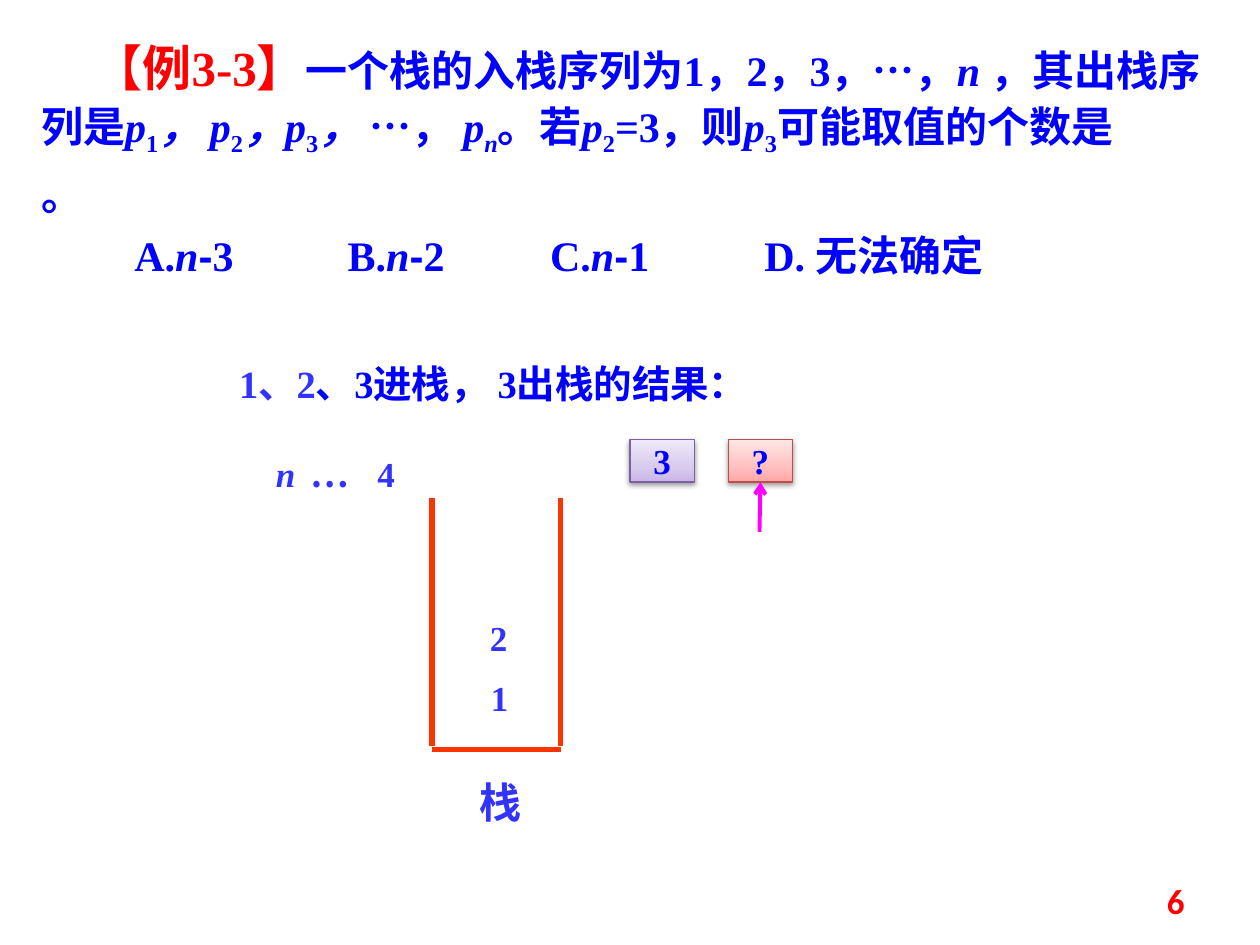
from pptx import Presentation
from pptx.dml.color import RGBColor
from pptx.enum.shapes import MSO_CONNECTOR, MSO_SHAPE
from pptx.enum.text import MSO_ANCHOR, PP_ALIGN
from pptx.oxml import parse_xml
from pptx.oxml.ns import nsdecls, qn
from pptx.util import Cm, Pt
from lxml.etree import SubElement

BLUE, INDIGO, RED = "0000FF", "3333FF", "FF0000"
ORANGE, MAGENTA = "FF3300", "FF00FF"
ITALIC = {"italic": True}
ELLIPSIS = {"name": "Noto Sans CJK SC"}
ARIAL = {"name": "Arial"}


def rgb(value):
    return RGBColor.from_string(value)


def variable(name, subscript, italic=False):
    return [(name, ITALIC), (subscript, {"baseline": -25000, "italic": italic})]


def option(label, number):
    return [(f"\t{label}.", {}), ("n", ITALIC), ("-", ARIAL), (number, {})]


class SlideBuilder:
    """Draws styled elements on the current slide."""

    base = {"name": "Times New Roman", "size": 20, "bold": True, "color": INDIGO}

    def __init__(self, slide):
        self.slide = slide

    def add_runs(self, paragraph, runs, style, align=PP_ALIGN.LEFT, tabs=(), indent=0, spacing=None):
        paragraph.alignment = align
        properties = paragraph._p.get_or_add_pPr()
        if indent:
            properties.set("indent", str(Cm(indent)))
        if tabs:
            tab_list = SubElement(properties, qn("a:tabLst"))
            for position in tabs:
                SubElement(tab_list, qn("a:tab"), pos=str(Cm(position)), algn="l")
        if spacing:
            paragraph.line_spacing = Pt(spacing)
        for text, changes in runs:
            run = paragraph.add_run()
            run.text = text
            values = {**self.base, **style, **changes}
            run.font.size = Pt(values.pop("size"))
            run.font.color.rgb = rgb(values.pop("color"))
            run_properties = run._r.get_or_add_rPr()
            if "baseline" in values:
                run_properties.set("baseline", str(values.pop("baseline")))
            for attribute, value in values.items():
                setattr(run.font, attribute, value)
            SubElement(run_properties, qn("a:ea"), typeface="Noto Sans CJK SC")

    def frame(self, shape, margin, anchor=MSO_ANCHOR.TOP):
        values = {"word_wrap": True, "vertical_anchor": anchor}
        if not margin:
            sides = ("left", "top", "right", "bottom")
            values.update({f"margin_{side}": 0 for side in sides})
        for attribute, value in values.items():
            setattr(shape.text_frame, attribute, value)
        return shape.text_frame

    def text(self, box, paragraphs, margin=False, anchor=MSO_ANCHOR.TOP, **style):
        shape = self.slide.shapes.add_textbox(*map(Cm, box))
        frame = self.frame(shape, margin, anchor)
        for index, (runs, layout) in enumerate(paragraphs):
            paragraph = frame.add_paragraph() if index else frame.paragraphs[0]
            self.add_runs(paragraph, runs, style, **layout)

    def label(self, box, text, **style):
        self.text(box, [([(text, {})], {"align": PP_ALIGN.CENTER})], **style)

    def card(self, box, text, outline, stops):
        shape = self.slide.shapes.add_shape(MSO_SHAPE.RECTANGLE, *map(Cm, box))
        shape.line.color.rgb = rgb(outline)
        shape.line.width = Pt(0.75)
        colours = "".join(
            f'<a:gs pos="{position * 1000}"><a:srgbClr val="{colour}"/></a:gs>'
            for position, colour in zip((0, 35, 100), stops))
        properties = shape._element.spPr
        properties.find(qn("a:prstGeom")).addnext(parse_xml(
            f'<a:gradFill {nsdecls("a")} rotWithShape="1"><a:gsLst>{colours}</a:gsLst>'
            '<a:lin ang="16200000" scaled="1"/></a:gradFill>'))
        properties.append(parse_xml(
            f'<a:effectLst {nsdecls("a")}><a:outerShdw blurRad="{Pt(3.1)}" dist="{Pt(1.6)}" '
            'dir="5400000" rotWithShape="0"><a:srgbClr val="000000"><a:alpha val="38000"/>'
            '</a:srgbClr></a:outerShdw></a:effectLst>'))
        frame = self.frame(shape, False)
        self.add_runs(frame.paragraphs[0], [(text, {})], {"color": BLUE}, PP_ALIGN.CENTER)
        return shape

    def line(self, points, colour, width, target=None):
        connector = self.slide.shapes.add_connector(MSO_CONNECTOR.STRAIGHT, *map(Cm, points))
        connector.line.color.rgb = rgb(colour)
        connector.line.width = Pt(width)
        properties = connector._element.spPr
        if target is not None:
            connector.end_connect(target, 2)
            SubElement(properties.find(qn("a:ln")), qn("a:tailEnd"), type="arrow")
        SubElement(properties, qn("a:effectLst"))


def main():
    presentation = Presentation()
    presentation.slide_width, presentation.slide_height = Cm(25.4), Cm(19.05)
    builder = SlideBuilder(presentation.slides.add_slide(presentation.slide_layouts[6]))

    question = [
        ("【例3-3】", {"size": 28, "color": RED}),
        ("一个栈的入栈序列为1，2，3，", {}), ("…", ELLIPSIS), ("，", {}),
        ("n ", ITALIC), ("，其出栈序列是", {}),
        *variable("p", "1"), *variable("， p", "2"), *variable("，p", "3"),
        ("， ", ITALIC), ("…", ELLIPSIS), ("， ", {}),
        *variable("p", "n", italic=True), ("。若", {}),
        *variable("p", "2"), ("=3，则", {}), *variable("p", "3"),
        ("可能取值的个数是", {}), ("\t", {"underline": True}), ("。", {})]
    options = [*option("A", "3"), *option("B", "2"), *option("C", "1"), ("\tD. 无法确定", {})]
    builder.text((0.58, 0.58, 24, 5.23), [
        (question, {"indent": 1.06, "tabs": (5.31,), "spacing": 35}),
        (options, {"tabs": (1.88, 6.18, 10.26, 14.58), "spacing": 35}),
    ], margin=True, size=24, color=BLUE)

    left, right, top, bottom = 8.71, 11.3, 10.03, 15.11
    for x in (left, right):
        builder.line((x, top, x, 15.04), ORANGE, 3)
    builder.line((left, bottom, right, bottom), ORANGE, 3)
    builder.label((9.5, 15.65, 1.19, 1.02), "栈", size=24)
    for text, x, y in (("1", 9.42, 13.64), ("2", 9.4, 12.42)):
        builder.label((x, y, 1.3, 0.86), text)

    builder.card((12.7, 8.86, 1.3, 0.86), "3", "7D60A0", ("C9B5E8", "D8CBEE", "F0EAF9"))
    unknown = builder.card((14.68, 8.86, 1.3, 0.86), "?", "BF4C48", ("FFA6A5", "FFC0BF", "FFE7E7"))
    builder.line((15.31, 10.72, 15.33, 9.72), MAGENTA, 2.25, target=unknown)

    waiting = [("n", ITALIC), ("\t…", ELLIPSIS), ("\t4", {})]
    builder.text((5.56, 9.12, 2.77, 0.86), [(waiting, {"tabs": (0.71, 2.05)})])
    heading = [("1、2", {}), ("、3进栈， 3出栈的结果：", {"color": BLUE})]
    builder.text((4.57, 7.14, 11.13, 1.19), [(heading, {})], margin=True, size=22)
    builder.text((18.21, 17.65, 5.92, 1.02), [([("6", {})], {"align": PP_ALIGN.RIGHT})],
                 margin=True, anchor=MSO_ANCHOR.MIDDLE, name="Calibri", color=RED)
    presentation.save("out.pptx")


if __name__ == "__main__":
    main()
